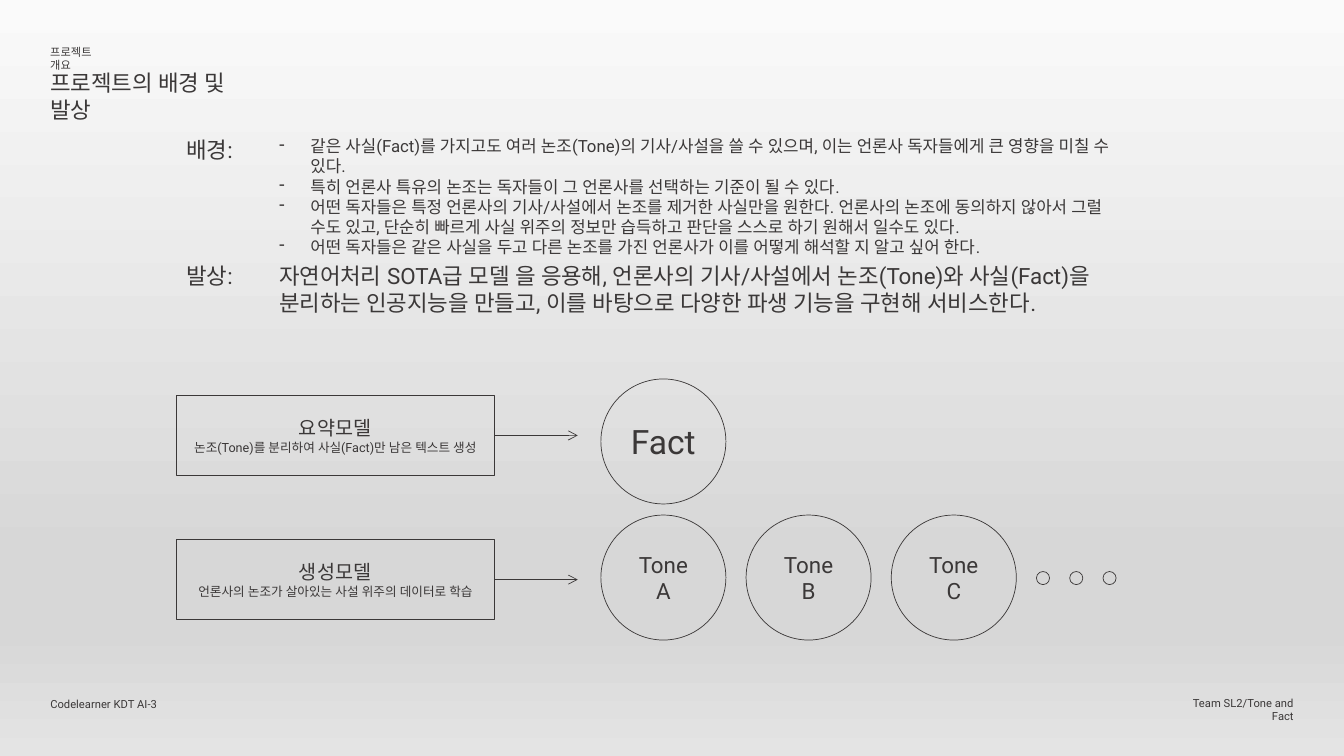
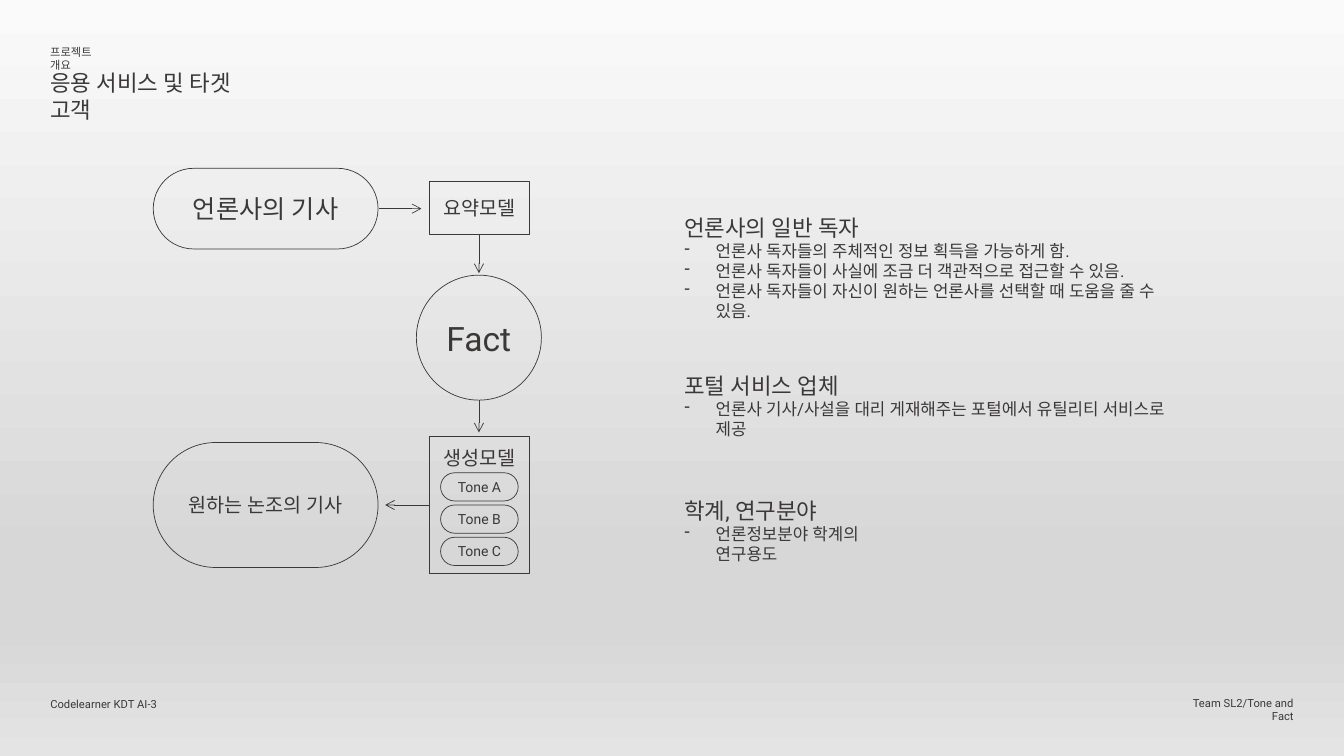
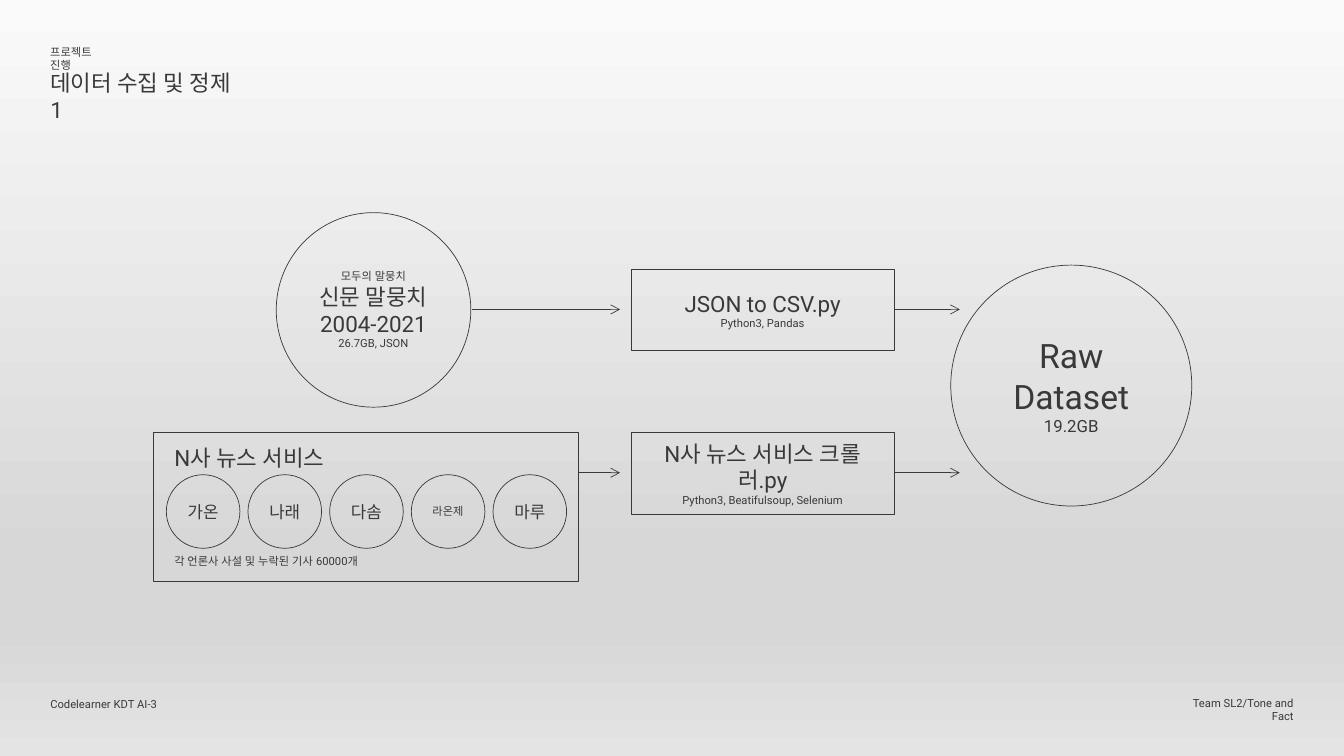
"""Build three slides on a news tone and fact project."""
from dataclasses import dataclass

import lxml.etree
import pptx
import pptx.dml.color
import pptx.enum.shapes
import pptx.enum.text
import pptx.oxml
import pptx.oxml.ns
import pptx.presentation
import pptx.slide
import pptx.util

Inches = pptx.util.Inches
Kind = pptx.enum.shapes.MSO_SHAPE
Align = pptx.enum.text.PP_ALIGN
Anchor = pptx.enum.text.MSO_ANCHOR
qn = pptx.oxml.ns.qn

FONT = "Roboto"
COLORS = {"ink": "3B3838", "top": "FAFAFA", "band": "D7D7D7", "bottom": "E4E4E4"}
BACKGROUND_STOPS = [(0, "top"), (74, "band"), (83, "band"), (100, "bottom")]
LINE_WIDTH = pptx.util.Pt(0.5)
HANGING = Inches(0.31)
MARGIN = 0.4
CIRCLE = 1.24


@dataclass(frozen=True)
class Para:
    text: str
    size: float
    bullet: bool = False


@dataclass(frozen=True)
class Area:
    left: float
    top: float
    width: float
    height: float

    def lengths(self) -> tuple[int, ...]:
        """Return the four lengths in drawing units."""
        return tuple(Inches(value) for value in (self.left, self.top, self.width, self.height))


@dataclass(frozen=True)
class Node:
    kind: Kind
    area: Area
    paras: tuple[Para, ...] = ()


@dataclass(frozen=True)
class Label:
    area: Area
    paras: tuple[Para, ...]
    wrap: bool = True
    align: Align = Align.LEFT


@dataclass(frozen=True)
class Arrow:
    start: tuple[float, float]
    tip: tuple[float, float]


def ink() -> pptx.dml.color.RGBColor:
    """Return the colour of text and lines."""
    return pptx.dml.color.RGBColor.from_string(COLORS["ink"])


def write_paras(frame, paras: tuple[Para, ...], align: Align) -> None:
    """Fill a text frame with styled paragraphs."""
    for index, para in enumerate(paras):
        paragraph = frame.add_paragraph() if index else frame.paragraphs[0]
        paragraph.text = para.text
        paragraph.alignment = align
        if para.bullet:
            properties = paragraph._p.get_or_add_pPr()
            properties.set("marL", str(HANGING))
            properties.set("indent", str(-HANGING))
            lxml.etree.SubElement(properties, qn("a:buChar")).set("char", "-")
        font = paragraph.font
        font.size = pptx.util.Pt(para.size)
        font.color.rgb = ink()
        font.name = FONT
        latin = font._element.find(qn("a:latin"))
        east_asian = lxml.etree.Element(qn("a:ea"))
        east_asian.set("typeface", FONT)
        latin.addnext(east_asian)


def draw_label(page: pptx.slide.Slide, label: Label) -> None:
    """Draw a text box that grows with its text."""
    frame = page.shapes.add_textbox(*label.area.lengths()).text_frame
    frame.word_wrap = label.wrap
    frame.auto_size = pptx.enum.text.MSO_AUTO_SIZE.SHAPE_TO_FIT_TEXT
    write_paras(frame, label.paras, label.align)


def draw_node(page: pptx.slide.Slide, node: Node, anchor: Anchor = Anchor.MIDDLE) -> None:
    """Draw an outlined shape with centred text."""
    box = page.shapes.add_shape(node.kind, *node.area.lengths())
    box.shadow.inherit = False
    box.fill.background()
    box.line.color.rgb = ink()
    box.line.width = LINE_WIDTH
    if node.kind == Kind.ROUNDED_RECTANGLE:
        box.adjustments[0] = 0.5
    box.text_frame.word_wrap = True
    box.text_frame.vertical_anchor = anchor
    if anchor == Anchor.TOP:
        box.text_frame.margin_top = Inches(0.09)
    write_paras(box.text_frame, node.paras, Align.CENTER)


def draw_arrow(page: pptx.slide.Slide, arrow: Arrow) -> None:
    """Draw a straight line with an open arrowhead at its tip."""
    ends = [Inches(value) for value in (*arrow.start, *arrow.tip)]
    line = page.shapes.add_connector(pptx.enum.shapes.MSO_CONNECTOR.STRAIGHT, *ends)
    line.line.color.rgb = ink()
    line.line.width = LINE_WIDTH
    head = lxml.etree.SubElement(line.line._get_or_add_ln(), qn("a:tailEnd"))
    head.set("type", "arrow")
    lxml.etree.SubElement(line._element.spPr, qn("a:effectLst"))


def draw_all(page: pptx.slide.Slide, items: list[Node | Label | Arrow]) -> None:
    """Draw every item with the function for its type."""
    painters = {Node: draw_node, Label: draw_label, Arrow: draw_arrow}
    for item in items:
        painters[type(item)](page, item)


def set_background(deck: pptx.presentation.Presentation) -> None:
    """Give the slide master its vertical gradient."""
    fill = deck.slide_master.background.fill
    fill.gradient()
    gradient = deck.slide_master._element.find(".//" + qn("a:gradFill"))
    stops = gradient.find(qn("a:gsLst"))
    for stop in list(stops):
        stops.remove(stop)
    for position, color in BACKGROUND_STOPS:
        stop = lxml.etree.SubElement(stops, qn("a:gs"))
        stop.set("pos", str(position * 1000))
        lxml.etree.SubElement(stop, qn("a:srgbClr")).set("val", COLORS[color])
    gradient.find(qn("a:lin")).set("ang", "5400000")


def add_page(
    deck: pptx.presentation.Presentation, section: str, title: str, title_width: float
) -> pptx.slide.Slide:
    """Add a slide with its footers, section and title."""
    page = deck.slides.add_slide(deck.slide_layouts[6])
    draw_all(page, [
        Label(Area(11.51, 6.86, 1.42, 0.24), (Para("Team SL2/Tone and Fact", 8),), False, Align.RIGHT),
        Label(Area(MARGIN, 6.87, 1.35, 0.24), (Para("Codelearner KDT AI-3", 8),), False),
        Label(Area(MARGIN, 0.64, title_width, 0.37), (Para(title, 16),), False),
        Label(Area(MARGIN, 0.4, 0.83, 0.24), (Para(section, 8),), False),
    ])
    return page


def build_background_page(deck: pptx.presentation.Presentation) -> None:
    """Build the slide on the background and the idea."""
    page = add_page(deck, "프로젝트 개요", "프로젝트의 배경 및 발상", 2.36)
    reasons = (
        "같은 사실(Fact)를 가지고도 여러 논조(Tone)의 기사/사설을 쓸 수 있으며, 이는 언론사 독자들에게 큰 영향을 미칠 수 있다.",
        "특히 언론사 특유의 논조는 독자들이 그 언론사를 선택하는 기준이 될 수 있다.",
        "어떤 독자들은 특정 언론사의 기사/사설에서 논조를 제거한 사실만을 원한다. 언론사의 논조에 동의하지 않아서 그럴 수도 있고, "
        "단순히 빠르게 사실 위주의 정보만 습득하고 판단을 스스로 하기 원해서 일수도 있다.",
        "어떤 독자들은 같은 사실을 두고 다른 논조를 가진 언론사가 이를 어떻게 해석할 지 알고 싶어 한다.",
    )
    idea = (
        "자연어처리 SOTA급 모델 을 응용해, 언론사의 기사/사설에서 논조(Tone)와 사실(Fact)을 분리하는 "
        "인공지능을 만들고, 이를 바탕으로 다양한 파생 기능을 구현해 서비스한다."
    )
    draw_all(page, [
        Label(Area(2.67, 1.3, 8.7, 1.11), tuple(Para(reason, 12, True) for reason in reasons)),
        Label(Area(2.67, 2.55, 8.7, 0.64), (Para(idea, 16),)),
    ])
    for heading, top in (("배경:", 1.3), ("발상:", 2.55)):
        draw_label(page, Label(Area(1.75, top, 0.71, 0.37), (Para(heading, 16),), False))
    models = (
        ("요약모델", "논조(Tone)를 분리하여 사실(Fact)만 남은 텍스트 생성", 3.92),
        ("생성모델", "언론사의 논조가 살아있는 사설 위주의 데이터로 학습", 5.35),
    )
    for name, detail, top in models:
        area = Area(1.75, top, 3.15, 0.8)
        draw_node(page, Node(Kind.RECTANGLE, area, (Para(name, 14), Para(detail, 9))))
        draw_arrow(page, Arrow((4.9, top + 0.4), (5.73, top + 0.4)))
    draw_node(page, Node(Kind.OVAL, Area(5.96, 3.76, CIRCLE, CIRCLE), (Para("Fact", 24),)))
    for index, tone in enumerate("ABC"):
        area = Area(5.96 + 1.44 * index, 5.11, CIRCLE, CIRCLE)
        draw_node(page, Node(Kind.OVAL, area, (Para(f"Tone {tone}", 16),)))
        draw_node(page, Node(Kind.OVAL, Area(10.28 + 0.33 * index, 5.67, 0.13, 0.13)))


def build_service_page(deck: pptx.presentation.Presentation) -> None:
    """Build the slide on services and target customers."""
    page = add_page(deck, "프로젝트 개요", "응용 서비스 및 타겟 고객", 2.41)
    draw_all(page, [
        Node(Kind.ROUNDED_RECTANGLE, Area(1.52, 1.67, 2.23, 0.8), (Para("언론사의 기사", 18),)),
        Node(Kind.RECTANGLE, Area(4.26, 1.8, 0.99, 0.53), (Para("요약모델", 14),)),
        Node(Kind.OVAL, Area(4.13, 2.73, CIRCLE, CIRCLE), (Para("Fact", 24),)),
        Node(Kind.ROUNDED_RECTANGLE, Area(1.52, 4.39, 2.23, CIRCLE), (Para("원하는 논조의 기사", 14),)),
        Arrow((3.76, 2.07), (4.18, 2.07)),
        Arrow((4.75, 2.33), (4.75, 2.71)),
        Arrow((4.75, 3.97), (4.75, 4.29)),
        Arrow((4.26, 5.01), (3.82, 5.01)),
    ])
    generator = Node(Kind.RECTANGLE, Area(4.26, 4.33, 0.99, 1.36), (Para("생성모델", 14),))
    draw_node(page, generator, Anchor.TOP)
    for index, tone in enumerate("ABC"):
        area = Area(4.37, 4.69 + 0.32 * index, 0.77, 0.28)
        draw_node(page, Node(Kind.ROUNDED_RECTANGLE, area, (Para(f"Tone {tone}", 10),)))
    customers = (
        (Area(6.69, 2.07, 5.18, 0.98), "언론사의 일반 독자", (
            "언론사 독자들의 주체적인 정보 획득을 가능하게 함.",
            "언론사 독자들이 사실에 조금 더 객관적으로 접근할 수 있음.",
            "언론사 독자들이 자신이 원하는 언론사를 선택할 때 도움을 줄 수 있음.",
        )),
        (Area(6.69, 3.64, 5.23, 0.57), "포털 서비스 업체", (
            "언론사 기사/사설을 대리 게재해주는 포털에서 유틸리티 서비스로 제공",
        )),
        (Area(6.69, 4.88, 2.56, 0.57), "학계, 연구분야", ("언론정보분야 학계의 연구용도",)),
    )
    for area, customer, benefits in customers:
        paras = (Para(customer, 16), *(Para(benefit, 12, True) for benefit in benefits))
        draw_label(page, Label(area, paras, False))


def build_data_page(deck: pptx.presentation.Presentation) -> None:
    """Build the slide on collecting and cleaning data."""
    page = add_page(deck, "프로젝트 진행", "데이터 수집 및 정제 1", 2.15)
    corpus = (Para("모두의 말뭉치", 8), Para("신문 말뭉치2004-2021", 16), Para("26.7GB, JSON", 8))
    dataset = (Para("Raw", 24), Para("Dataset", 24), Para("19.2GB", 12))
    draw_all(page, [
        Node(Kind.OVAL, Area(2.74, 2.11, 1.93, 1.93), corpus),
        Node(Kind.OVAL, Area(9.43, 2.63, 2.39, 2.39), dataset),
        Node(Kind.RECTANGLE, Area(1.52, 4.29, 4.22, 1.48)),
        Label(Area(1.63, 4.36, 4.01, 0.37), (Para("N사 뉴스 서비스", 16),)),
        Label(Area(1.63, 5.45, 4.01, 0.24), (Para("각 언론사 사설 및 누락된 기사 60000개", 8),)),
    ])
    for index, press in enumerate(("가온", "나래", "다솜", "라온제", "마루")):
        area = Area(1.65 + 0.81 * index, 4.71, 0.73, 0.73)
        size = 8 if len(press) > 2 else 12
        draw_node(page, Node(Kind.OVAL, area, (Para(press, size),)))
    scripts = (
        ("JSON to CSV.py", "Python3, Pandas", 2.67, 4.68),
        ("N사 뉴스 서비스 크롤러.py", "Python3, Beatifulsoup, Selenium", 4.29, 5.74),
    )
    for name, tools, top, source_right in scripts:
        middle = top + 0.4
        draw_all(page, [
            Node(Kind.RECTANGLE, Area(6.26, top, 2.61, 0.81), (Para(name, 16), Para(tools, 8))),
            Arrow((source_right, middle), (6.15, middle)),
            Arrow((8.87, middle), (9.52, middle)),
        ])


def main() -> None:
    """Build and save the deck."""
    deck = pptx.Presentation()
    deck.slide_width = Inches(13.33)
    deck.slide_height = Inches(7.5)
    set_background(deck)
    build_background_page(deck)
    build_service_page(deck)
    build_data_page(deck)
    deck.save("out.pptx")


if __name__ == "__main__":
    main()
